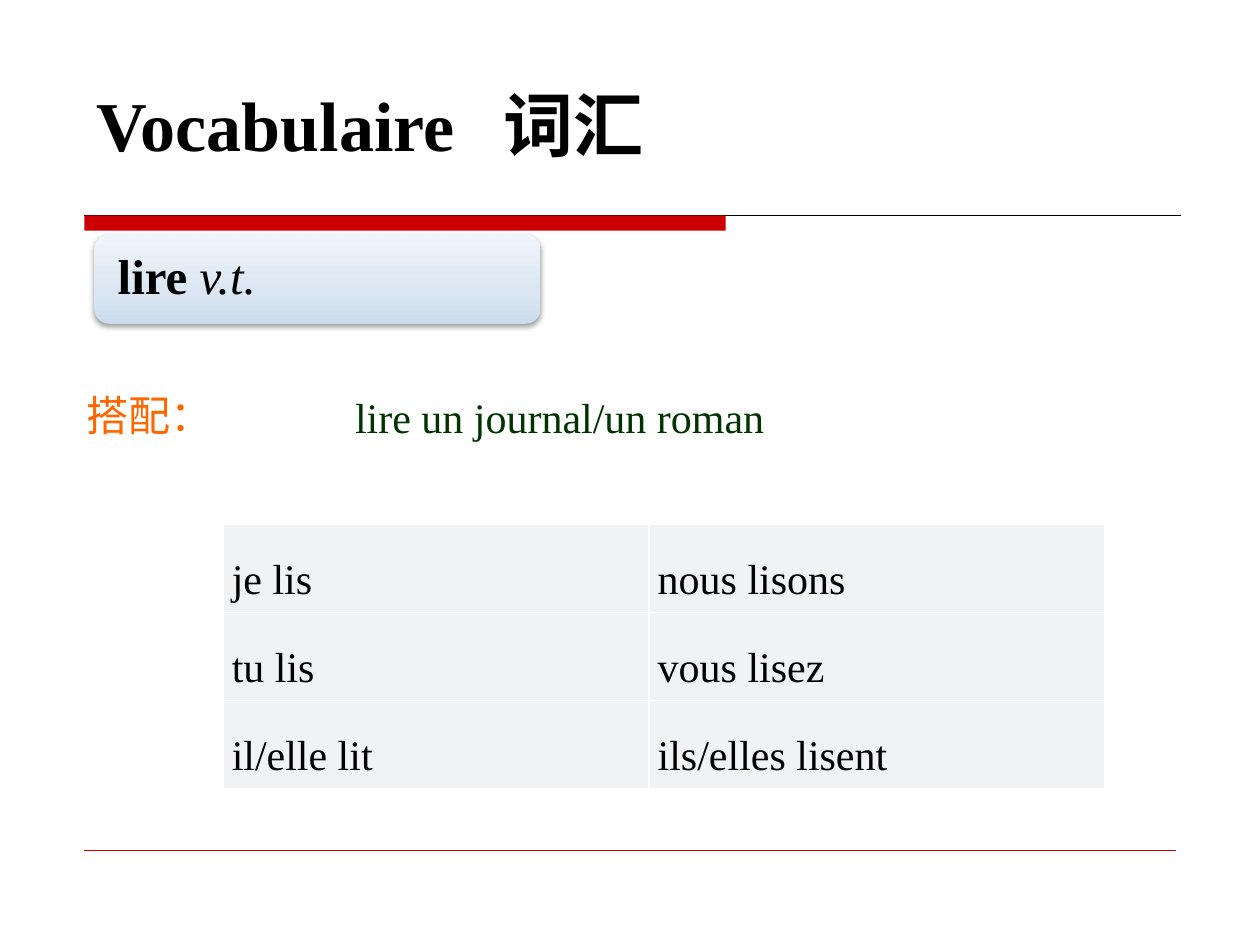
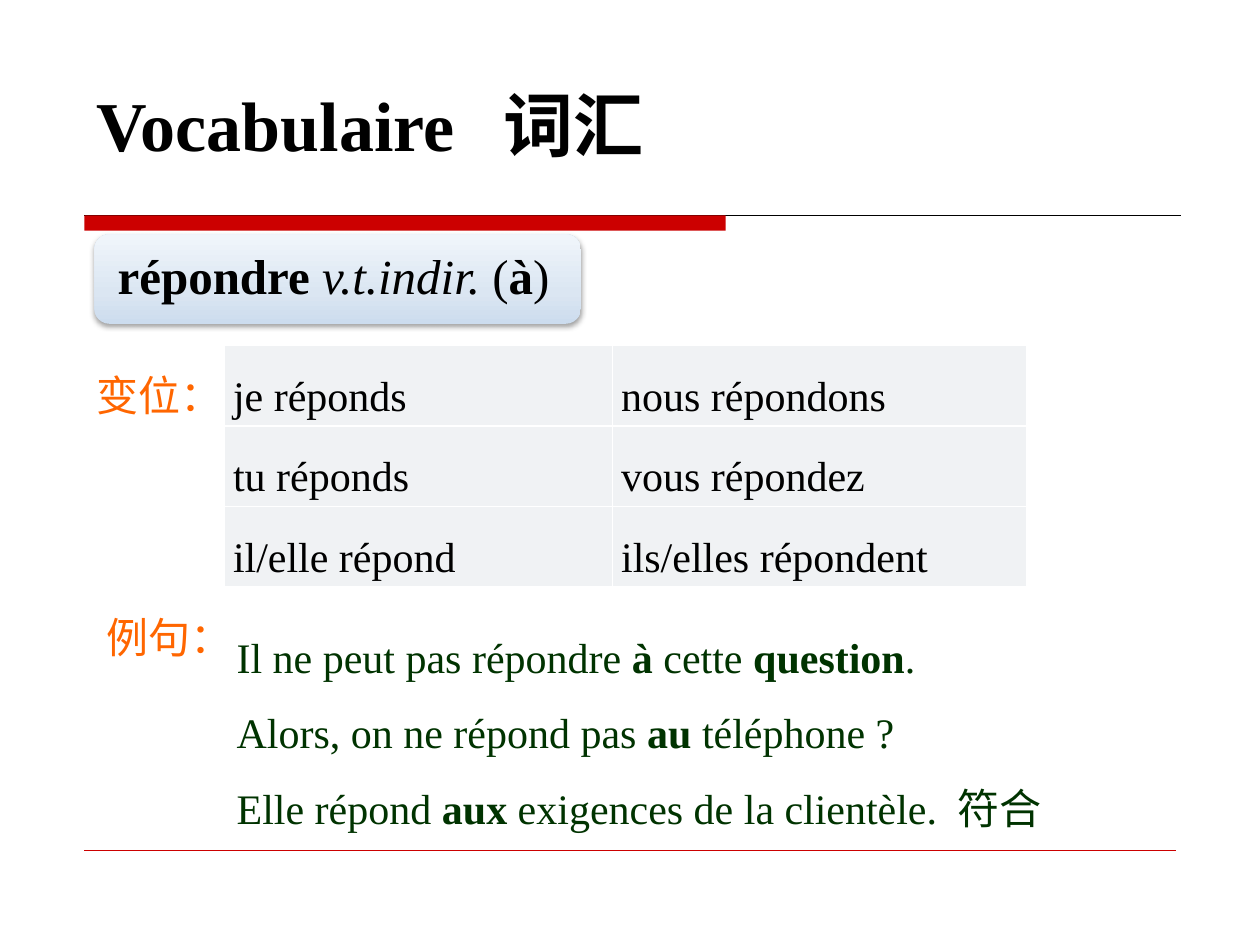
from lxml.etree import SubElement
from pptx import Presentation
from pptx.dml.color import RGBColor
from pptx.enum.shapes import MSO_CONNECTOR, MSO_SHAPE
from pptx.enum.text import MSO_ANCHOR, MSO_AUTO_SIZE, PP_ALIGN
from pptx.oxml import parse_xml
from pptx.oxml.ns import nsdecls, qn
from pptx.util import Inches, Pt

BLACK = RGBColor(0x00, 0x00, 0x00)
WHITE = RGBColor(0xFF, 0xFF, 0xFF)
RED = RGBColor(0xCC, 0x00, 0x00)
ORANGE = RGBColor(0xFF, 0x66, 0x00)
GREEN = RGBColor(0x00, 0x33, 0x00)
GRAY = RGBColor(0xF0, 0xF2, 0xF4)
BLUES = [(0, RGBColor(0xCC, 0xDC, 0xEE)),
         (35, RGBColor(0xDB, 0xE6, 0xF2)),
         (100, RGBColor(0xF0, 0xF5, 0xFB))]
SERIF = "Times New Roman"
HAN = "Noto Sans CJK SC"
LEFT = 0.67


def style(run, size, color, face=SERIF, mark=""):
    """Format a run; mark is "b" for bold, "i" for italic."""
    font = run.font
    font.size, font.name = Pt(size), face
    font.bold, font.italic = mark == "b", mark == "i"
    font.color.rgb = color
    latin = run._r.rPr.find(qn("a:latin"))
    latin.addnext(parse_xml(f'<a:ea {nsdecls("a")} typeface="{HAN}"/>'))


def write(para, runs, size, color, face=SERIF):
    for text, mark in runs:
        run = para.add_run()
        run.text = text
        style(run, size, color, face, mark)


def add_tab(para, pos):
    tabs = SubElement(para._p.get_or_add_pPr(), qn("a:tabLst"))
    SubElement(tabs, qn("a:tab"), pos=str(Inches(pos)), algn="l")


def add_text(slide, box, lines, size, color, face=SERIF, space=None, tab=None):
    """Text box; each line is a list of (text, mark) runs."""
    frame = slide.shapes.add_textbox(*map(Inches, box)).text_frame
    frame.word_wrap = True
    frame.auto_size = MSO_AUTO_SIZE.SHAPE_TO_FIT_TEXT
    for i, runs in enumerate(lines):
        para = frame.add_paragraph() if i else frame.paragraphs[0]
        if tab and any("\t" in text for text, mark in runs):
            add_tab(para, tab)
        if space:
            para.line_spacing = space
        write(para, runs, size, color, face)


def add_label(slide, left, top, text):
    add_text(slide, (left, top, 1.97, 0.51), [[(text, "")]], 24, ORANGE, HAN)


def add_rule(slide, left, right, top, color, width):
    line = slide.shapes.add_connector(
        MSO_CONNECTOR.STRAIGHT, *map(Inches, (left, top, right, top)))
    line.line.color.rgb = color
    line.line.width = Pt(width)
    SubElement(line._element.spPr, qn("a:effectLst"))


def add_frame(deck):
    """New slide with the shared title, red band and rules."""
    slide = deck.slides.add_slide(deck.slide_layouts[6])
    add_rule(slide, LEFT, 9.37, 1.71, BLACK, 0.75)
    band = slide.shapes.add_shape(
        MSO_SHAPE.RECTANGLE, *map(Inches, (LEFT, 1.71, 5.09, 0.12)))
    band.shadow.inherit = False
    band.fill.solid()
    band.fill.fore_color.rgb = RED
    band.line.fill.background()
    add_rule(slide, LEFT, 9.33, 6.75, RED, 0.25)
    add_text(slide, (LEFT, 0.6, 7.8, 0.77),
             [[("Vocabulaire\t词汇", "b")]], 40, BLACK, tab=3.23)
    return slide


def add_word(slide, width, runs):
    """Glossy rounded box with the headword."""
    card = slide.shapes.add_shape(
        MSO_SHAPE.ROUNDED_RECTANGLE, *map(Inches, (0.75, 1.86, width, 0.71)))
    card.line.fill.background()
    stops = "".join(
        f'<a:gs pos="{pos * 1000}"><a:srgbClr val="{color}"/></a:gs>'
        for pos, color in BLUES)
    props = card._element.spPr
    props.find(qn("a:prstGeom")).addnext(parse_xml(
        f'<a:gradFill {nsdecls("a")} rotWithShape="1"><a:gsLst>{stops}</a:gsLst>'
        '<a:lin ang="16200000" scaled="0"/></a:gradFill>'))
    props.append(parse_xml(
        f'<a:effectLst {nsdecls("a")}><a:outerShdw blurRad="{Pt(3.1)}" '
        f'dist="{Pt(1.6)}" dir="5400000" rotWithShape="0"><a:srgbClr val="{BLACK}">'
        '<a:alpha val="38000"/></a:srgbClr></a:outerShdw></a:effectLst>'))
    frame = card.text_frame
    frame.word_wrap = True
    frame.vertical_anchor = MSO_ANCHOR.MIDDLE
    frame.margin_left = frame.margin_right = Inches(0.15)
    para = frame.paragraphs[0]
    para.alignment = PP_ALIGN.LEFT
    para.line_spacing = 0.9
    write(para, runs, 28, BLACK)


def add_border(cell):
    props = cell._tc.get_or_add_tcPr()
    for i, side in enumerate(("lnL", "lnR", "lnT", "lnB")):
        props.insert(i, parse_xml(
            f'<a:{side} {nsdecls("a")} w="{Pt(1)}"><a:solidFill>'
            f'<a:srgbClr val="{WHITE}"/></a:solidFill></a:{side}>'))


def add_verbs(slide, left, top, cols, high, rows):
    """Conjugation table, singular beside plural."""
    grid = slide.shapes.add_table(
        len(rows), len(cols),
        *map(Inches, (left, top, sum(cols), high * len(rows)))).table
    grid.first_row = grid.horz_banding = False
    for col, width in zip(grid.columns, cols):
        col.width = Inches(width)
    for row, texts in zip(grid.rows, rows):
        row.height = Inches(high)
        for cell, text in zip(row.cells, texts):
            cell.fill.solid()
            cell.fill.fore_color.rgb = GRAY
            cell.vertical_anchor = MSO_ANCHOR.MIDDLE
            cell.margin_left = cell.margin_right = Inches(0.07)
            cell.margin_top = cell.margin_bottom = 0
            add_border(cell)
            para = cell.text_frame.paragraphs[0]
            para.text = text
            para.alignment = PP_ALIGN.JUSTIFY
            para.line_spacing = 1.5
            style(para.runs[0], 24, BLACK)


def add_lire(deck):
    slide = add_frame(deck)
    add_word(slide, 3.54, [("lire ", "b"), ("v.t.", "i")])
    add_label(slide, 0.59, 3.04, "搭配：")
    add_text(slide, (2.72, 3.06, 3.6, 0.5),
             [[("lire un journal/un roman", "")]], 24, GREEN)
    add_verbs(slide, 1.77, 4.16, (3.38, 3.62), 0.7, [
        ("je lis", "nous lisons"),
        ("tu lis", "vous lisez"),
        ("il/elle lit", "ils/elles lisent")])


def add_reply(deck):
    slide = add_frame(deck)
    add_word(slide, 3.86, [("répondre ", "b"), ("v.t.indir. ", "i"),
                           ("(", ""), ("à", "b"), (")", "")])
    add_label(slide, LEFT, 2.88, "变位：")
    add_verbs(slide, 1.78, 2.74, (3.08, 3.29), 0.64, [
        ("je réponds", "nous répondons"),
        ("tu réponds", "vous répondez"),
        ("il/elle répond", "ils/elles répondent")])
    add_label(slide, 0.75, 4.8, "例句：")
    add_text(slide, (1.78, 4.76, 7.56, 1.92), [
        [("Il ne peut pas répondre ", ""), ("à", "b"), (" cette ", ""),
         ("question", "b"), (".", "")],
        [("Alors, on ne répond pas ", ""), ("au", "b"), (" téléphone ?", "")],
        [("Elle répond ", ""), ("aux", "b"),
         (" exigences de la clientèle.\t符合", "")],
    ], 24, GREEN, space=1.5, tab=5.72)


def main():
    deck = Presentation()
    deck.slide_width, deck.slide_height = Inches(10), Inches(7.5)
    add_lire(deck)
    add_reply(deck)
    deck.save("out.pptx")


if __name__ == "__main__":
    main()
